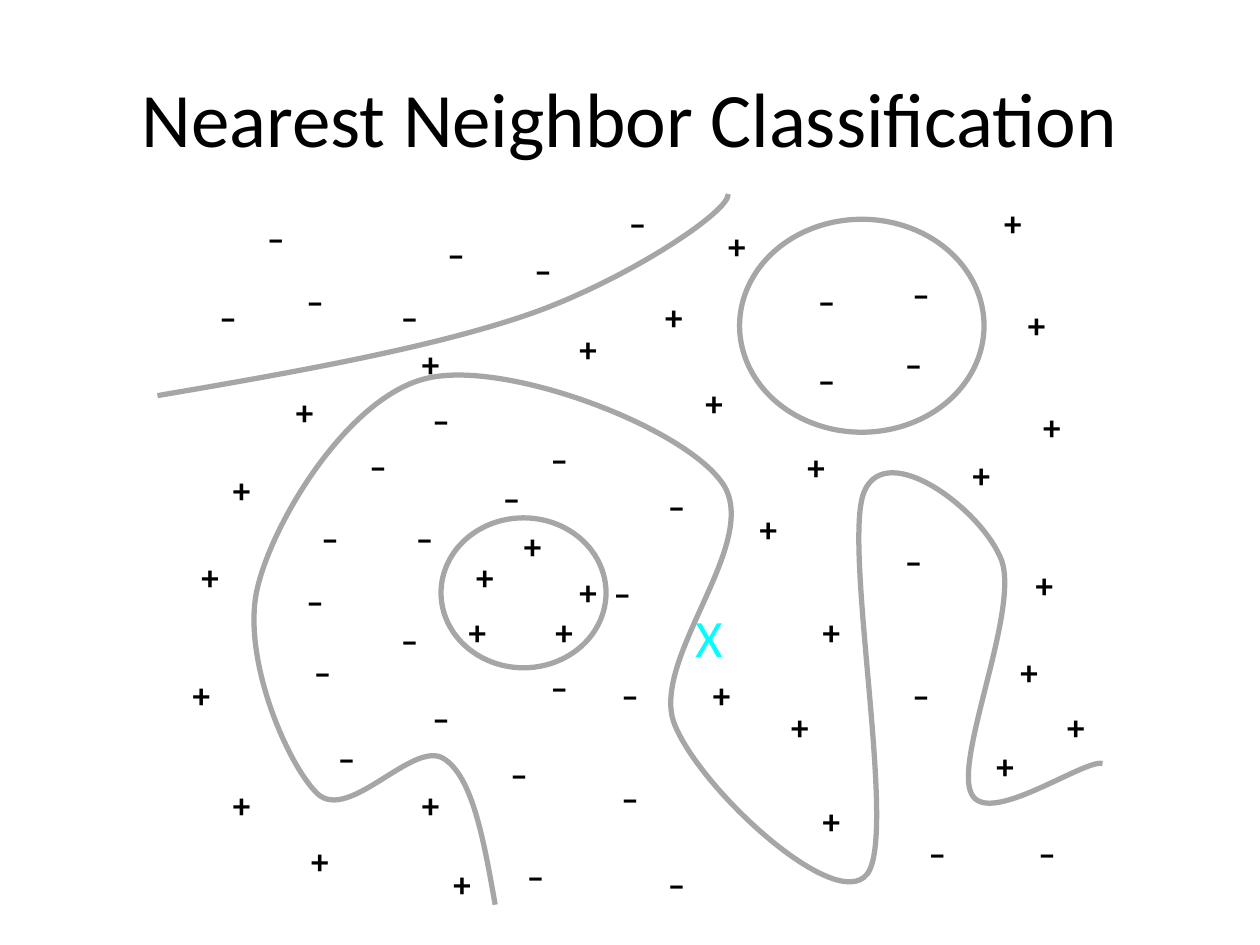
import lxml.etree
import pptx
import pptx.dml.color
import pptx.enum.shapes
import pptx.enum.text
import pptx.oxml.ns
import pptx.util
from pptx.util import Inches


def color(hex_value):
    return pptx.dml.color.RGBColor.from_string(hex_value)


def add_run(paragraph, text, size, hex_value, bold=False):
    run = paragraph.add_run()
    run.text = text
    run.font.name = "Calibri"
    run.font.size = pptx.util.Pt(size)
    run.font.bold = bold
    run.font.color.rgb = color(hex_value)


presentation = pptx.Presentation()
presentation.slide_width = Inches(10)
presentation.slide_height = Inches(7.5)
slide = presentation.slides.add_slide(presentation.slide_layouts[5])

title = slide.shapes.title
title.left, title.top = Inches(0.5), Inches(0.3)
title.width, title.height = Inches(9), Inches(1.25)
title.text_frame.vertical_anchor = pptx.enum.text.MSO_ANCHOR.MIDDLE
paragraph = title.text_frame.paragraphs[0]
paragraph.alignment = pptx.enum.text.PP_ALIGN.CENTER
add_run(paragraph, "Nearest Neighbor Classification", 44, "000000")

diagram = slide.shapes.add_group_shape()

lower_boundary = [
    (3.93, 7.18),
    (3.84, 6.67), (3.75, 6.16), (3.52, 6.02),
    (3.28, 5.87), (2.77, 6.53), (2.52, 6.3),
    (2.28, 6.07), (1.9, 5.19), (2.05, 4.64),
    (2.19, 4.09), (2.79, 3.13), (3.4, 3),
    (4.02, 2.86), (5.41, 3.38), (5.73, 3.83),
    (6.06, 4.29), (5.16, 5.22), (5.35, 5.74),
    (5.55, 6.26), (6.63, 7.25), (6.88, 6.94),
    (7.13, 6.64), (6.68, 4.31), (6.86, 3.9),
    (7.04, 3.48), (7.8, 4.05), (7.95, 4.45),
    (8.09, 4.85), (7.57, 6.03), (7.71, 6.3),
    (7.84, 6.57), (8.61, 6.02), (8.75, 6.06),
]
upper_boundary = [
    (1.25, 3.14),
    (2.37, 2.95), (3.48, 2.75), (4.24, 2.48),
    (4.99, 2.21), (5.79, 1.68), (5.78, 1.54),
]

boundaries = []
for controls in (lower_boundary, upper_boundary):
    points = [(Inches(x), Inches(y)) for x, y in controls]
    builder = diagram.shapes.build_freeform(*points[0])
    builder.add_line_segments(points[1:], close=False)
    curve = builder.convert_to_shape()
    segments = list(curve.element.iter(pptx.oxml.ns.qn("a:lnTo")))
    for index in range(0, len(segments), 3):
        bezier = lxml.etree.Element(pptx.oxml.ns.qn("a:cubicBezTo"))
        segments[index].addprevious(bezier)
        for segment in segments[index:index + 3]:
            bezier.append(segment[0])
            segment.getparent().remove(segment)
    boundaries.append(curve)

for left, top, width, height in [(5.87, 1.74, 1.94, 1.69), (3.5, 4.11, 1.31, 1.19)]:
    boundaries.append(diagram.shapes.add_shape(
        pptx.enum.shapes.MSO_SHAPE.OVAL,
        Inches(left), Inches(top), Inches(width), Inches(height)))

for shape in boundaries:
    shape.shadow.inherit = False
    shape.fill.background()
    shape.line.color.rgb = color("A6A6A6")
    shape.line.width = pptx.util.Pt(3)

plus_positions = [
    (4.06, 4.11), (3.62, 4.8), (4.31, 4.8), (3.68, 4.36), (5.5, 2.98),
    (4.5, 2.55), (1.75, 3.67), (1.5, 4.36), (2.37, 6.61), (3.25, 6.17),
    (1.43, 5.3), (1.75, 6.17), (5.56, 5.3), (6.43, 6.3), (7.62, 3.55),
    (7.81, 5.86), (5.93, 3.98), (6.43, 4.8), (5.68, 1.73), (8.06, 2.36),
    (7.87, 1.55), (8.12, 4.42), (6.18, 5.55), (8, 5.11), (8.37, 5.55),
    (3.25, 2.67), (2.25, 3.05), (4.5, 4.48), (8.18, 3.17), (5.18, 2.3),
    (3.5, 6.8), (6.31, 3.49),
]
minus_positions = [
    (1.62, 2.3), (3.06, 2.3), (4.12, 1.92), (4.87, 1.55), (2.31, 2.17),
    (3.43, 1.8), (2.37, 5.11), (3.31, 3.11), (2.81, 3.48), (2.43, 4.05),
    (2.31, 4.55), (2.56, 5.8), (3.31, 5.48), (4.06, 6.73), (4.81, 5.3),
    (4.25, 3.42), (3.18, 4.05), (3.06, 4.86), (3.87, 3.73), (4.75, 4.49),
    (4.25, 5.23), (5.18, 3.8), (5.18, 6.8), (3.93, 5.92), (4.81, 6.11),
    (7.06, 4.23), (7.12, 5.3), (8.12, 6.55), (7.25, 6.55), (6.37, 2.17),
    (6.37, 2.8), (7.12, 2.11), (7.06, 2.67), (2, 1.67),
]
for symbol, width, positions in [("+", 0.31, plus_positions), ("–", 0.38, minus_positions)]:
    for left, top in positions:
        marker = diagram.shapes.add_textbox(Inches(left), Inches(top), Inches(width), Inches(0.43))
        marker.text_frame.word_wrap = True
        marker.text_frame.auto_size = pptx.enum.text.MSO_AUTO_SIZE.SHAPE_TO_FIT_TEXT
        paragraph = marker.text_frame.paragraphs[0]
        paragraph.alignment = pptx.enum.text.PP_ALIGN.CENTER
        add_run(paragraph, symbol, 20, "000000", bold=True)

query_point = slide.shapes.add_textbox(Inches(5.42), Inches(4.75), Inches(0.42), Inches(0.6))
query_point.text_frame.word_wrap = False
query_point.text_frame.auto_size = pptx.enum.text.MSO_AUTO_SIZE.SHAPE_TO_FIT_TEXT
add_run(query_point.text_frame.paragraphs[0], "X", 30, "00FFFF")

presentation.save("out.pptx")
